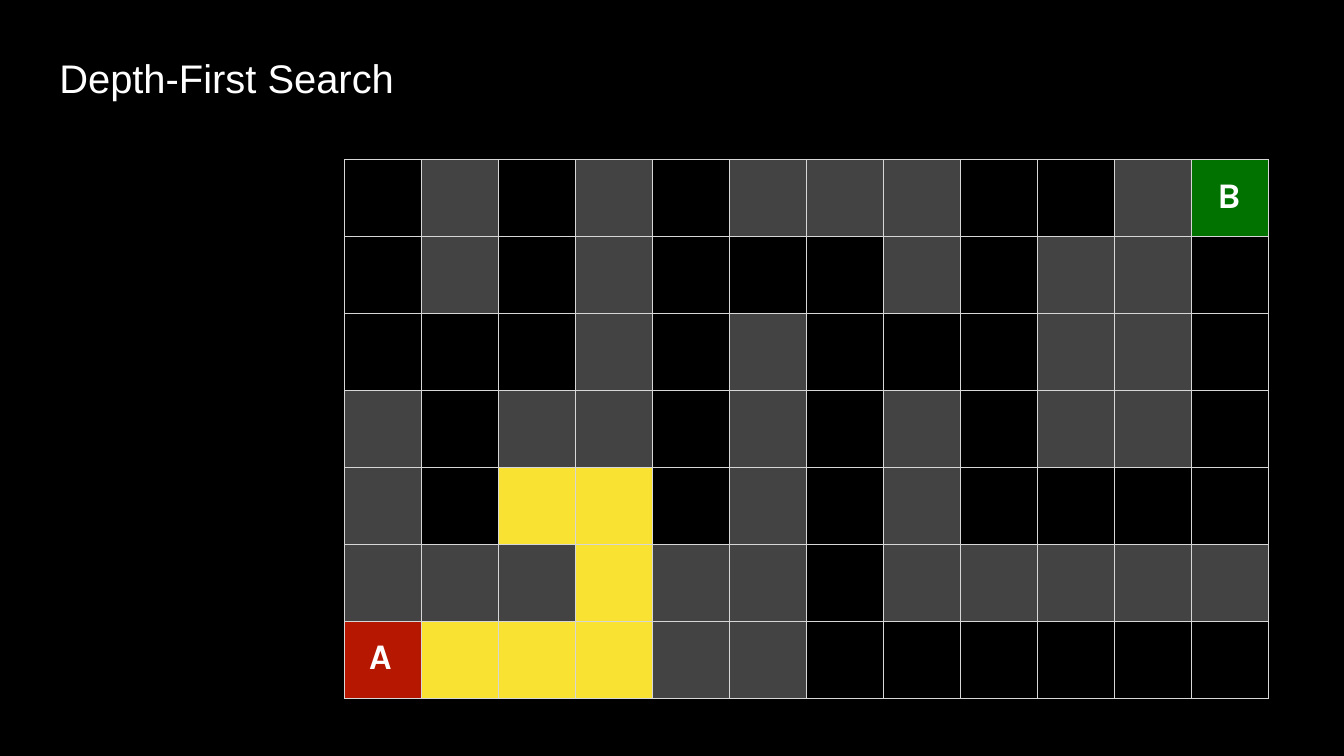
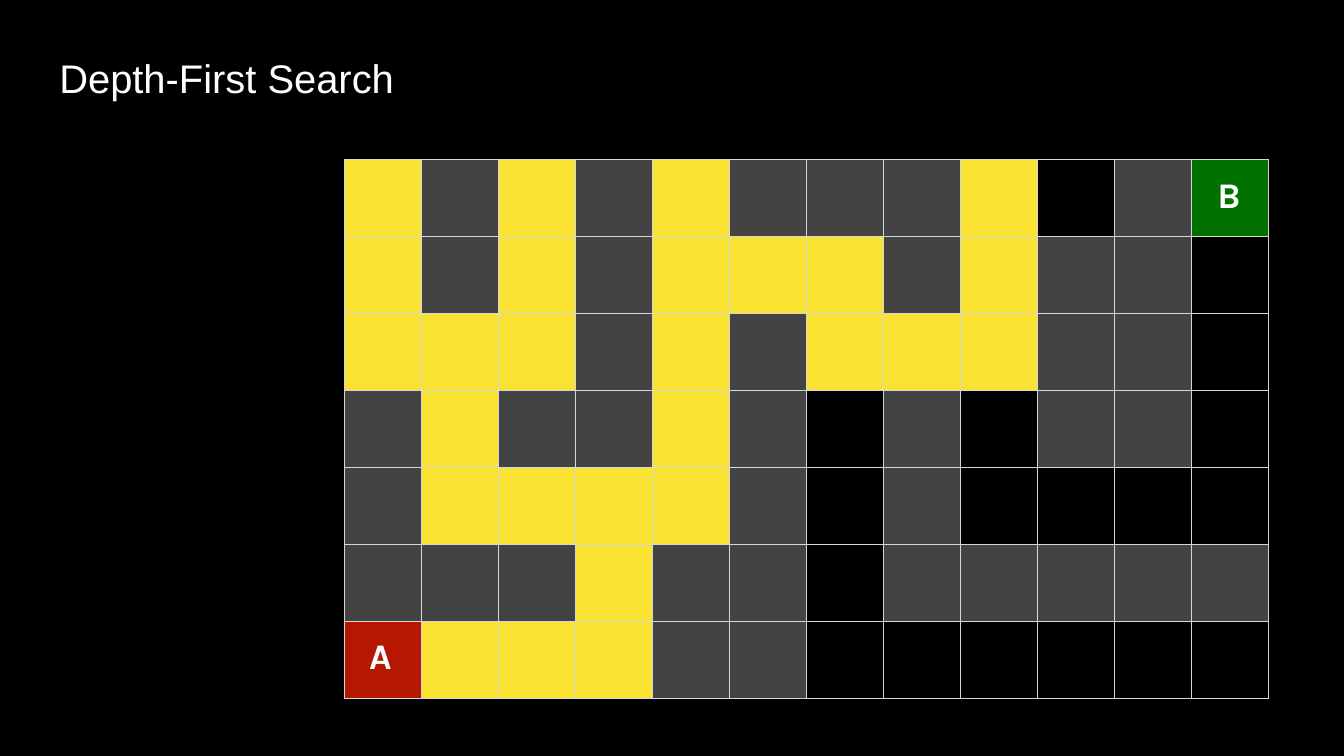
"""Build two slides that follow a depth-first search through a maze."""
from lxml import etree
from pptx import Presentation
from pptx.dml.color import RGBColor
from pptx.oxml.ns import qn
from pptx.util import Inches, Pt

BLACK = RGBColor(0x00, 0x00, 0x00)
WHITE = RGBColor(0xFF, 0xFF, 0xFF)
WALL_GREY = RGBColor(0x43, 0x43, 0x43)
EXPLORED_YELLOW = RGBColor(0xFA, 0xE2, 0x32)
START_RED = RGBColor(0xB5, 0x17, 0x00)
GOAL_GREEN = RGBColor(0x01, 0x71, 0x00)
GRID_LINE = RGBColor(0xD6, 0xD7, 0xD6)

TITLE = "Depth-First Search"
MAZE = [
    ".#.#.###..#B",
    ".#.#...#.##.",
    "...#.#...##.",
    "#.##.#.#.##.",
    "#....#.#....",
    "###.##.#####",
    "A...##......",
]
SQUARE_FILLS = {".": BLACK, "#": WALL_GREY, "A": START_RED, "B": GOAL_GREEN}
LABEL_MARGINS = {"A": (0.40, 0.25), "B": (0.42, 0.26)}
VISIT_ORDER = [
    (6, 1), (6, 2), (6, 3), (5, 3), (4, 3), (4, 2),
    (4, 1), (3, 1), (2, 1), (2, 0), (1, 0), (0, 0),
    (2, 2), (1, 2), (0, 2),
    (4, 4), (3, 4), (2, 4), (1, 4), (0, 4),
    (1, 5), (1, 6), (2, 6), (2, 7), (2, 8), (1, 8), (0, 8),
]
VISITED_COUNTS = [6, len(VISIT_ORDER)]
SQUARE = Inches(1.26)


def set_margins(target, left, top):
    target.margin_left, target.margin_top = Inches(left), Inches(top)
    target.margin_right = target.margin_bottom = 0


def style_text(paragraph, name, size, bold=False):
    font = paragraph.font
    font.name, font.size, font.bold = name, Pt(size), bold
    font.color.rgb = WHITE


def add_title(slide):
    box = slide.shapes.add_textbox(Inches(0.68), Inches(0.43), Inches(12.93), Inches(1.78))
    frame = box.text_frame
    frame.word_wrap = True
    set_margins(frame, 0.29, 0.44)
    frame.text = TITLE
    style_text(frame.paragraphs[0], "Arial", 47)


def add_borders(cell):
    properties = cell._tc.get_or_add_tcPr()
    for side in ("a:lnL", "a:lnR", "a:lnT", "a:lnB"):
        line = etree.SubElement(properties, qn(side), w=str(Pt(1)))
        fill = etree.SubElement(line, qn("a:solidFill"))
        etree.SubElement(fill, qn("a:srgbClr"), val=str(GRID_LINE))


def add_maze(slide, explored):
    rows, columns = len(MAZE), len(MAZE[0])
    table = slide.shapes.add_table(
        rows, columns, Inches(5.64), Inches(2.61), SQUARE * columns, SQUARE * rows
    ).table
    table.first_row = table.horz_banding = False
    for row_index, row in enumerate(MAZE):
        for column_index, square in enumerate(row):
            cell = table.cell(row_index, column_index)
            add_borders(cell)
            cell.fill.solid()
            visited = (row_index, column_index) in explored
            cell.fill.fore_color.rgb = EXPLORED_YELLOW if visited else SQUARE_FILLS[square]
            if square in LABEL_MARGINS:
                set_margins(cell, *LABEL_MARGINS[square])
                cell.text = square
                style_text(cell.text_frame.paragraphs[0], "Karla", 42.5, bold=True)


def main():
    presentation = Presentation()
    presentation.slide_width, presentation.slide_height = Inches(21.99), Inches(12.37)
    background = presentation.slide_master.background.fill
    background.solid()
    background.fore_color.rgb = BLACK
    for count in VISITED_COUNTS:
        slide = presentation.slides.add_slide(presentation.slide_layouts[6])
        add_maze(slide, VISIT_ORDER[:count])
        add_title(slide)
    presentation.save("out.pptx")


if __name__ == "__main__":
    main()
